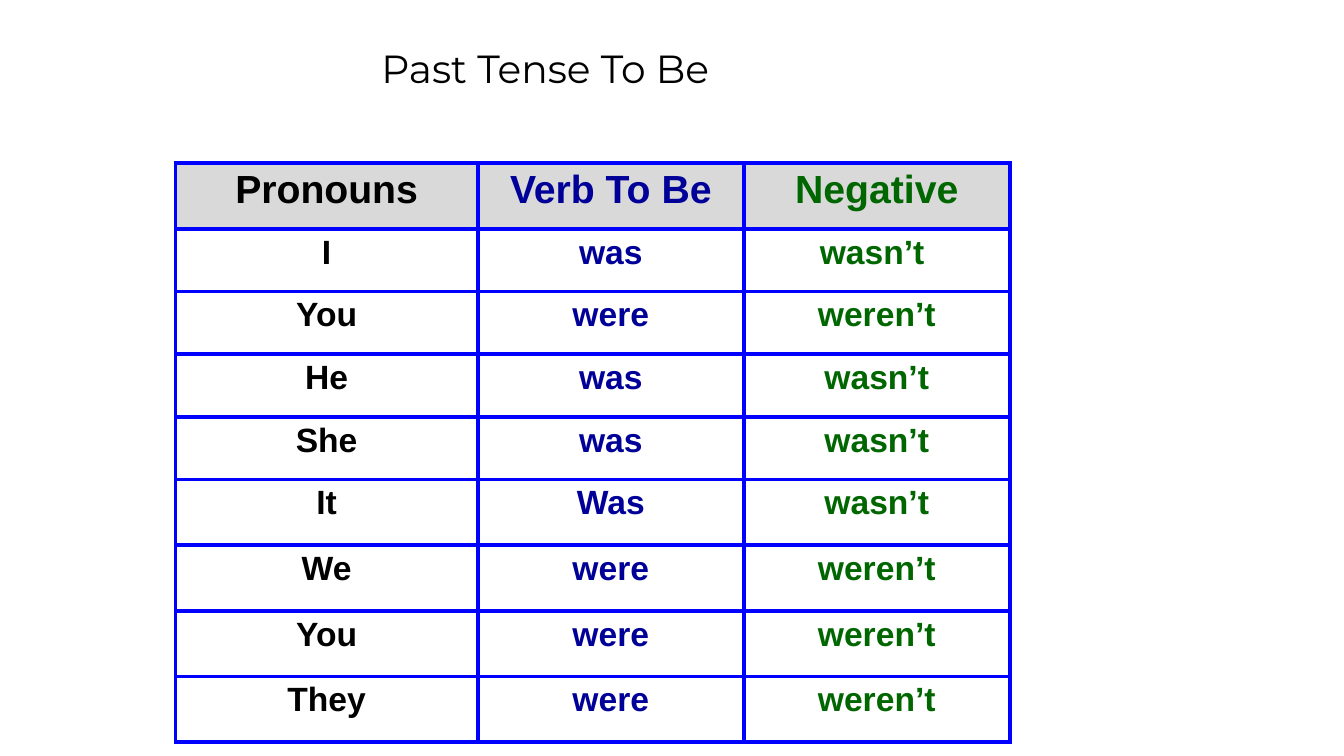
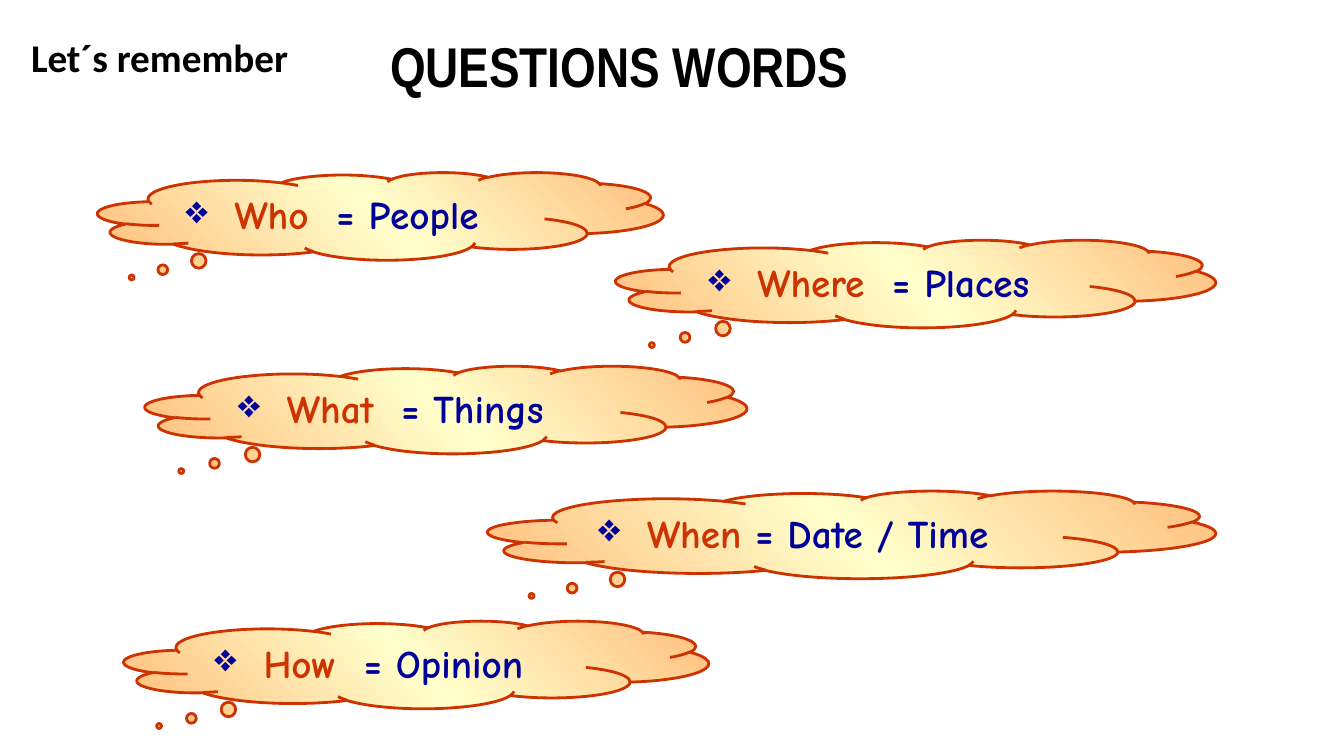
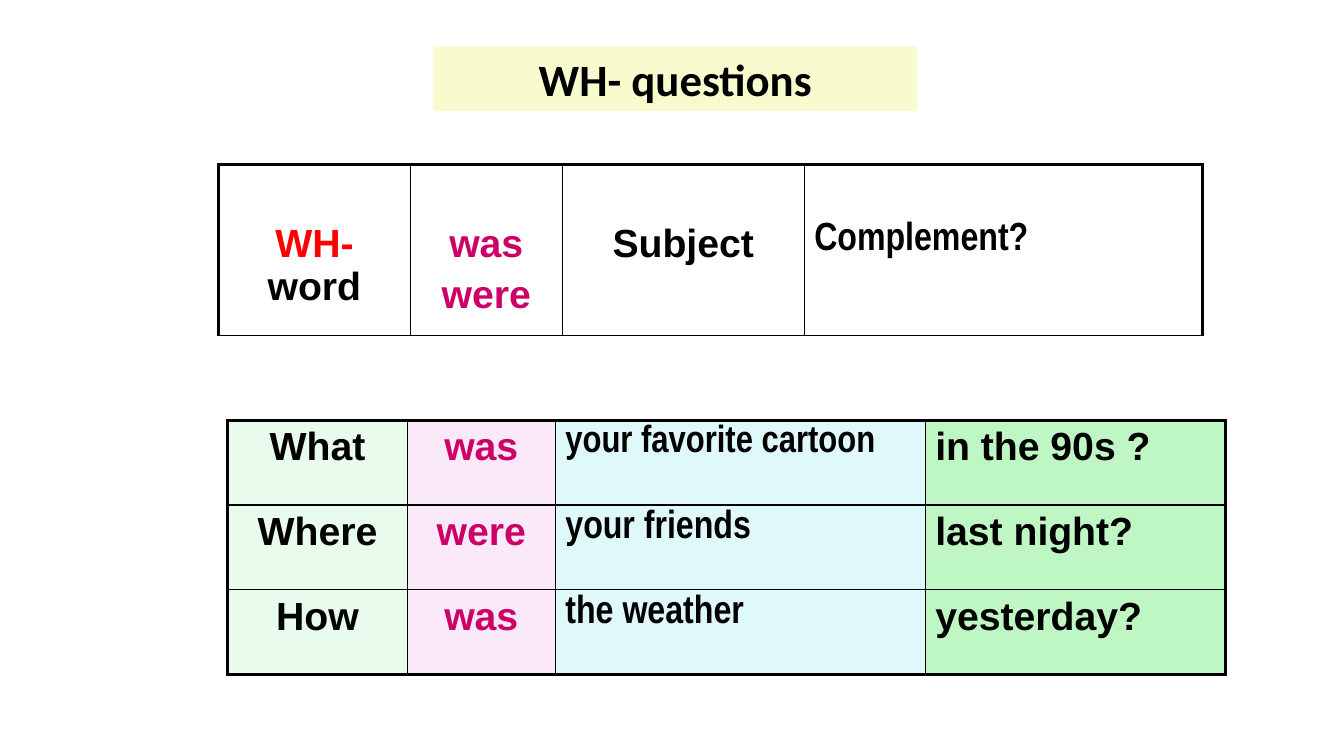
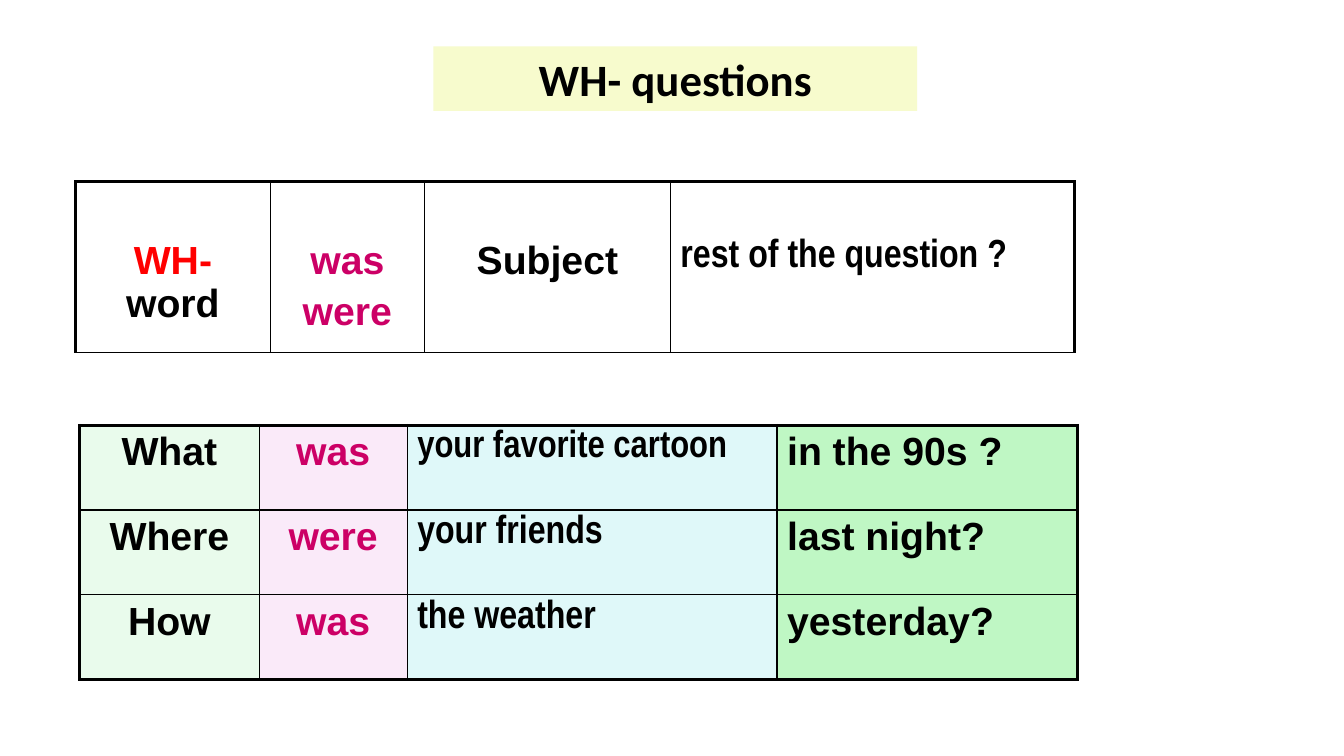
from lxml import etree
from pptx import Presentation
from pptx.dml.color import RGBColor
from pptx.enum.shapes import MSO_SHAPE as SHAPE
from pptx.enum.text import MSO_ANCHOR as ANCHOR, MSO_AUTO_SIZE as FIT, PP_ALIGN as AL
from pptx.oxml import parse_xml
from pptx.oxml.ns import qn
from pptx.util import Pt

BLACK, NAVY, GREEN, PINK, RED = "000000", "000099", "006600", "CC0066", "FF0000"
BLUE, RUST, PEACH, CREAM = "0000FF", "CC3300", "FFBE7D", "FFFFCC"
GREY, WHITE, YELLOW = "D9D9D9", "FFFFFF", "F7FBCD"
NS = 'xmlns:a="http://schemas.openxmlformats.org/drawingml/2006/main"'

PRONOUNS = [
    ("Pronouns", "Verb To Be", "Negative"),
    ("I", "was", "wasn’t "),
    ("You", "were", "weren’t"),
    ("He", "was", "wasn’t"),
    ("She", "was", "wasn’t"),
    ("It", "Was", "wasn’t"),
    ("We", "were", "weren’t"),
    ("You", "were", "weren’t"),
    ("They", "were", "weren’t"),
]
PRONOUN_COLORS = (BLACK, NAVY, GREEN)
PRONOUN_COLS = (216, 190, 190)
PRONOUN_ROWS = [46.8] + [44.8] * 4 + [46.9] * 4

CLOUDS = [
    ("Who ", " = People", 69.8, 123.1, 403.9),
    ("What ", " = Things", 103.7, 261.4, 429.8),
    ("How ", " = Opinion", 88.6, 443.5, 417.6),
    ("Where ", " = Places", 439.9, 171.4, 428.4),
    ("When", " = Date / Time", 348.5, 350.6, 519.8),
]
CLOUD_H, BULLET_INDENT = 62.6, 35

QUESTIONS = [
    ("What", "was", "your favorite cartoon", "in the 90s ?"),
    ("Where", "were", "your friends", "last night?"),
    ("How", "was", "the weather", "yesterday?"),
]
QUESTION_STYLES = [
    ("Arial", BLACK, AL.CENTER, "E9FBEC"),
    ("Arial", PINK, AL.CENTER, "FAEAF9"),
    ("Arial Narrow", BLACK, AL.LEFT, "DFF8F9"),
    ("Arial", BLACK, AL.LEFT, "BFF7C4"),
]
QUESTION_COLS, QUESTION_ROW = (128.2, 105.8, 264.2, 214.6), 60.5
HEADER_ROW, HEADER_TOP_MARGIN = 122.4, 41

WH_SLIDES = [
    {"last": "Complement?", "header_at": (156.2, 117.4),
     "header_cols": (136.8, 108.7, 172.8, 284.4), "rows_at": (162.7, 300.2)},
    {"last": "rest of the question ?", "header_at": (54, 129.6),
     "header_cols": (139, 110.2, 175.7, 288.7), "rows_at": (56.9, 303.8)},
]


def rgb(color):
    return RGBColor.from_string(color)


def write(tf, paras, font, size, bold=True, align=AL.LEFT, space=0):
    for i, runs in enumerate(paras):
        p = tf.paragraphs[0] if i == 0 else tf.add_paragraph()
        p.alignment = align
        p.font.name, p.font.size, p.font.bold = font, Pt(size), bold
        if i:
            p.space_before = Pt(space)
        for text, color in runs:
            r = p.add_run()
            r.text = text
            r.font.color.rgb = rgb(color)


def add_slide(prs, title, box, font, size, bold=True, align=AL.CENTER, fill=None):
    slide = prs.slides.add_slide(prs.slide_layouts[5])
    sp = slide.shapes.title
    sp.left, sp.top, sp.width, sp.height = map(Pt, box)
    if fill:
        sp.fill.solid()
        sp.fill.fore_color.rgb = rgb(fill)
    tf = sp.text_frame
    tf.word_wrap, tf.auto_size, tf.vertical_anchor = True, FIT.NONE, ANCHOR.TOP
    write(tf, [[(title, BLACK)]], font, size, bold, align)
    return slide


def add_grid(slide, at, cols, rows):
    frame = slide.shapes.add_table(len(rows), len(cols), *map(Pt, at), Pt(sum(cols)), Pt(sum(rows)))
    table = frame.table
    table.first_row = table.horz_banding = False
    for col, width in zip(table.columns, cols):
        col.width = Pt(width)
    for row, height in zip(table.rows, rows):
        row.height = Pt(height)
    return table


def paint(cell, fill):
    if fill:
        cell.fill.solid()
        cell.fill.fore_color.rgb = rgb(fill)
    else:
        cell.fill.background()


def draw_borders(table, color, outer, inner, bottom):
    last_row, last_col = len(table.rows) - 1, len(table.columns) - 1
    for y in range(last_row + 1):
        for x in range(last_col + 1):
            widths = {
                "lnL": inner if x else outer,
                "lnR": inner if x < last_col else outer,
                "lnT": inner if y else outer,
                "lnB": inner if y < last_row else bottom,
            }
            tc_pr = table.cell(y, x)._tc.get_or_add_tcPr()
            for i, (side, width) in enumerate(widths.items()):
                tc_pr.insert(i, parse_xml(
                    f'<a:{side} {NS} w="{Pt(width)}"><a:solidFill><a:srgbClr val="{color}"/>'
                    f'</a:solidFill></a:{side}>'))


def add_cloud(slide, word, meaning, left, top, width):
    sp = slide.shapes.add_shape(SHAPE.CLOUD_CALLOUT, Pt(left), Pt(top), Pt(width), Pt(CLOUD_H))
    sp.shadow.inherit = False
    sp.adjustments[0], sp.adjustments[1] = -0.44, 0.7
    sp.line.color.rgb = rgb(RUST)
    sp.line.width = Pt(2)
    stops = "".join(f'<a:gs pos="{pos}"><a:srgbClr val="{color}"/></a:gs>'
                    for pos, color in ((0, PEACH), (50000, CREAM), (100000, PEACH)))
    sp._element.spPr.find(qn("a:prstGeom")).addnext(parse_xml(
        f'<a:gradFill {NS}><a:gsLst>{stops}</a:gsLst><a:lin ang="18900000" scaled="0"/></a:gradFill>'))
    tf = sp.text_frame
    tf.word_wrap, tf.vertical_anchor = True, ANCHOR.MIDDLE
    write(tf, [[(word, RUST), (meaning, NAVY)]], "Comic Neue", 28)
    p_pr = tf.paragraphs[0]._p.get_or_add_pPr()
    p_pr.set("marL", str(Pt(BULLET_INDENT)))
    p_pr.set("indent", str(-Pt(BULLET_INDENT)))
    bullet_color = etree.Element(qn("a:buClr"))
    etree.SubElement(bullet_color, qn("a:srgbClr")).set("val", NAVY)
    bullet = etree.Element(qn("a:buChar"))
    bullet.set("char", "❖")
    p_pr.insert(0, bullet_color)
    p_pr.insert(1, bullet)


def pronoun_slide(prs):
    slide = add_slide(prs, "Past Tense To Be", (137, 28, 505, 45), "Montserrat", 28, bold=False)
    table = add_grid(slide, (125.3, 116.6), PRONOUN_COLS, PRONOUN_ROWS)
    for y, row in enumerate(PRONOUNS):
        for x, (text, color) in enumerate(zip(row, PRONOUN_COLORS)):
            cell = table.cell(y, x)
            paint(cell, None if y else GREY)
            write(cell.text_frame, [[(text, color)]], "Arial", 24 if y else 28, align=AL.CENTER)
    draw_borders(table, BLUE, 3, 3, 3)


def cloud_slide(prs):
    slide = add_slide(prs, "QUESTIONS WORDS", (271.4, 18.7, 417, 55.4), "Arial Narrow", 40,
                      align=AL.LEFT)
    for cloud in CLOUDS:
        add_cloud(slide, *cloud)
    tf = slide.shapes.add_textbox(Pt(15.1), Pt(20.2), Pt(210), Pt(41)).text_frame
    tf.word_wrap = True
    write(tf, [[("Let´s remember", BLACK)]], "Calibri", 28)


def wh_slide(prs, last, header_at, header_cols, rows_at):
    slide = add_slide(prs, "WH- questions", (309.6, 33.1, 345.6, 46.1), "Calibri", 32, fill=YELLOW)

    table = add_grid(slide, rows_at, QUESTION_COLS, [QUESTION_ROW] * len(QUESTIONS))
    for y, row in enumerate(QUESTIONS):
        for x, (text, (font, color, align, fill)) in enumerate(zip(row, QUESTION_STYLES)):
            cell = table.cell(y, x)
            paint(cell, fill)
            size = 27 if (y, x) == (0, 2) else 28
            write(cell.text_frame, [[(text, color)]], font, size, align=align)
    draw_borders(table, BLACK, 2.25, 1, 2.25)

    headers = [
        ([[("WH- ", RED), ("word", BLACK)]], "Arial", AL.CENTER),
        ([[("was", PINK)], [("were", PINK)]], "Arial", AL.CENTER),
        ([[("Subject", BLACK)]], "Arial", AL.CENTER),
        ([[(last, BLACK)]], "Arial Narrow", AL.LEFT),
    ]
    table = add_grid(slide, header_at, header_cols, [HEADER_ROW])
    for x, (paras, font, align) in enumerate(headers):
        cell = table.cell(0, x)
        cell.margin_top = Pt(HEADER_TOP_MARGIN)
        paint(cell, WHITE)
        write(cell.text_frame, paras, font, 28, align=align, space=5.6)
    draw_borders(table, BLACK, 2.25, 1, 1)


def main():
    prs = Presentation()
    prs.slide_width, prs.slide_height = Pt(960), Pt(540)
    pronoun_slide(prs)
    cloud_slide(prs)
    for wh in WH_SLIDES:
        wh_slide(prs, **wh)
    prs.save("out.pptx")


if __name__ == "__main__":
    main()
